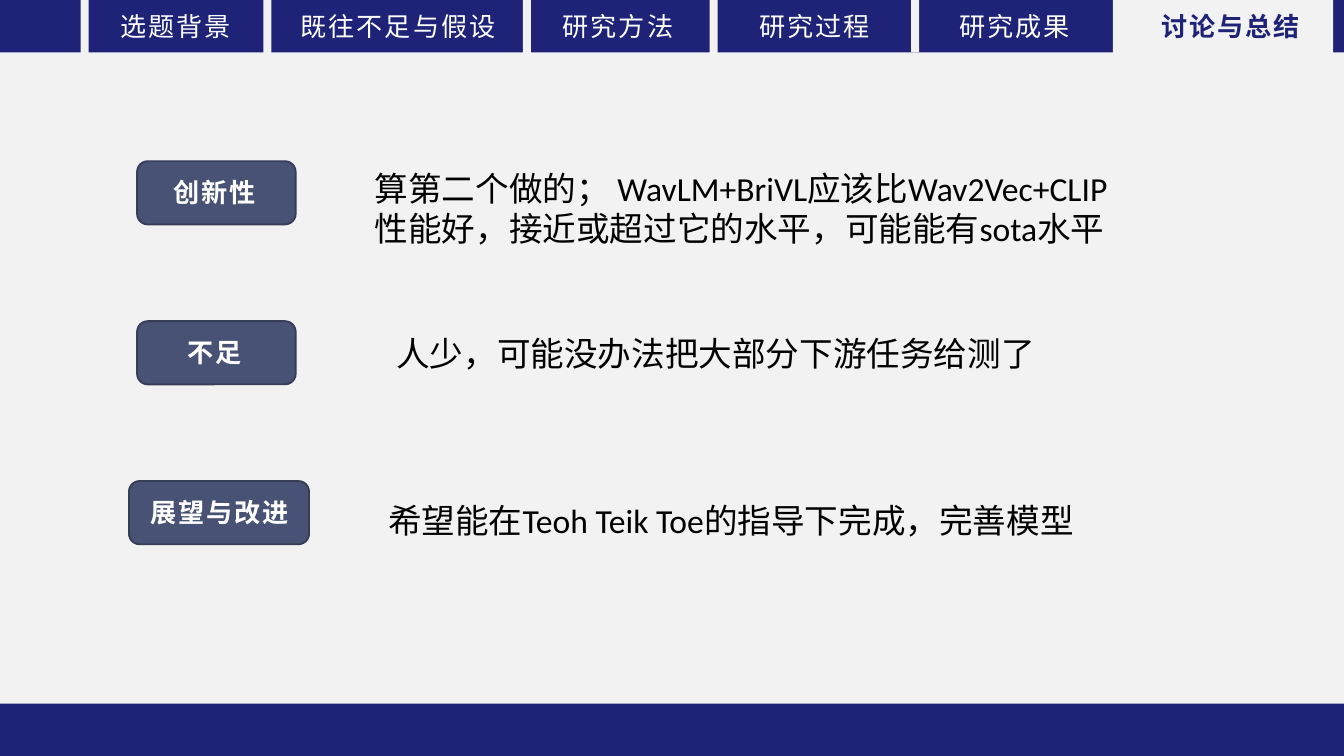
from pptx import Presentation
from pptx.dml.color import RGBColor
from pptx.enum.shapes import MSO_SHAPE
from pptx.enum.text import MSO_ANCHOR, PP_ALIGN
from pptx.util import Inches, Pt

RECT = MSO_SHAPE.RECTANGLE
ROUNDED = MSO_SHAPE.ROUNDED_RECTANGLE
TOP = MSO_ANCHOR.TOP
LEFT = PP_ALIGN.LEFT

COLORS = {
    "navy": "1E2377",
    "paper": "F2F2F2",
    "white": "FFFFFF",
    "black": "000000",
    "slate": "485275",
    "edge": "353D57",
}
WIDTH = 10
HEIGHT = WIDTH * 9 / 16
BAR_HEIGHT = 0.39
DIVIDER_WIDTH, DIVIDER_HEIGHT = 0.06, 0.47
LABEL_HEIGHT = 0.34
PILL_TOP, PILL_STEP, PILL_HEIGHT = 1.2, 1.19, 0.47

TABS = [
    ("选题背景", 0.8, 1.17),
    ("既往不足与假设", 2.14, 1.72),
    ("研究方法", 4.09, 1.12),
    ("研究过程", 5.55, 1.12),
    ("研究成果", 7.04, 1.13),
]
DIVIDERS = [(0.6, 0), (1.96, -0.04), (3.89, 0), (5.28, -0.01), (6.78, -0.08)]
ACTIVE_TAB = ("讨论与总结", 8.54, 1.3)
POINTS = [
    {"label": "创新性", "label_x": (1.19, 0.85), "pill_x": (1.02, 1.18),
     "body": "算第二个做的； WavLM+BriVL应该比Wav2Vec+CLIP性能好，接近或超过它的水平，可能能有sota水平",
     "body_at": (2.69, 1.2, 5.73, 0.71)},
    {"label": "不足", "label_x": (1.3, 0.62), "pill_x": (1.02, 1.18),
     "body": "人少，可能没办法把大部分下游任务给测了",
     "body_at": (2.85, 2.43, 5.43, 0.4)},
    {"label": "展望与改进", "label_x": (1.02, 1.32), "pill_x": (0.96, 1.34),
     "body": "希望能在Teoh Teik Toe的指导下完成，完善模型",
     "body_at": (2.79, 3.67, 5.57, 0.4)},
]


def rgb(name):
    return RGBColor.from_string(COLORS[name])


def add_block(parent, box, fill, kind=RECT, edge=None):
    block = parent.add_shape(kind, *map(Inches, box))
    block.shadow.inherit = False
    block.fill.solid()
    block.fill.fore_color.rgb = rgb(fill)
    if edge:
        block.line.color.rgb = rgb(edge)
        block.line.width = Pt(1)
    else:
        block.line.fill.background()


def write(holder, text, size=14, font="Times New Roman", color="white",
          bold=False, spacing=1):
    frame = holder.text_frame
    frame.word_wrap = True
    frame.vertical_anchor = TOP
    frame.margin_right = 0 if spacing else Inches(0.1)
    paragraph = frame.paragraphs[0]
    paragraph.alignment = LEFT
    run = paragraph.add_run()
    run.text = text
    run.font.size = Pt(size)
    run.font.name = font
    run.font.bold = bold
    run.font.color.rgb = rgb(color)
    if spacing:
        run.font._element.set("spc", str(spacing * 100))


def add_text(parent, box, text, **style):
    write(parent.add_textbox(*map(Inches, box)), text, **style)


def main():
    deck = Presentation()
    deck.slide_width, deck.slide_height = Inches(WIDTH), Inches(HEIGHT)
    slide = deck.slides.add_slide(deck.slide_layouts[5])
    slide.background.fill.solid()
    slide.background.fill.fore_color.rgb = rgb("paper")
    shapes = slide.shapes

    for bar_top in (0, HEIGHT - BAR_HEIGHT):
        add_block(shapes, (0, bar_top, WIDTH, BAR_HEIGHT), "navy")
    for left, top in DIVIDERS:
        add_block(shapes, (left, top, DIVIDER_WIDTH, DIVIDER_HEIGHT), "paper")
    add_block(shapes, (8.28, -0.01, 1.64, DIVIDER_HEIGHT), "paper")

    tab_top = (BAR_HEIGHT - LABEL_HEIGHT) / 2
    for name, left, width in TABS:
        add_text(shapes, (left, tab_top, width, LABEL_HEIGHT), name)

    name, left, width = ACTIVE_TAB
    title = shapes.title
    title.left, title.top = Inches(left), Inches(tab_top)
    title.width, title.height = Inches(width), Inches(LABEL_HEIGHT)
    write(title, name, color="navy", bold=True)
    shapes.element.append(title.element)

    for row, point in enumerate(POINTS):
        top = PILL_TOP + row * PILL_STEP
        label_top = top + (PILL_HEIGHT - LABEL_HEIGHT) / 2
        left, width = point["pill_x"]
        group = shapes.add_group_shape().shapes
        add_block(group, (left, top, width, PILL_HEIGHT), "slate", ROUNDED, "edge")
        left, width = point["label_x"]
        add_text(group, (left, label_top, width, LABEL_HEIGHT), point["label"], bold=True)
        add_text(shapes, point["body_at"], point["body"],
                 size=18, font="Calibri", color="black", spacing=0)

    deck.save("out.pptx")


if __name__ == "__main__":
    main()
